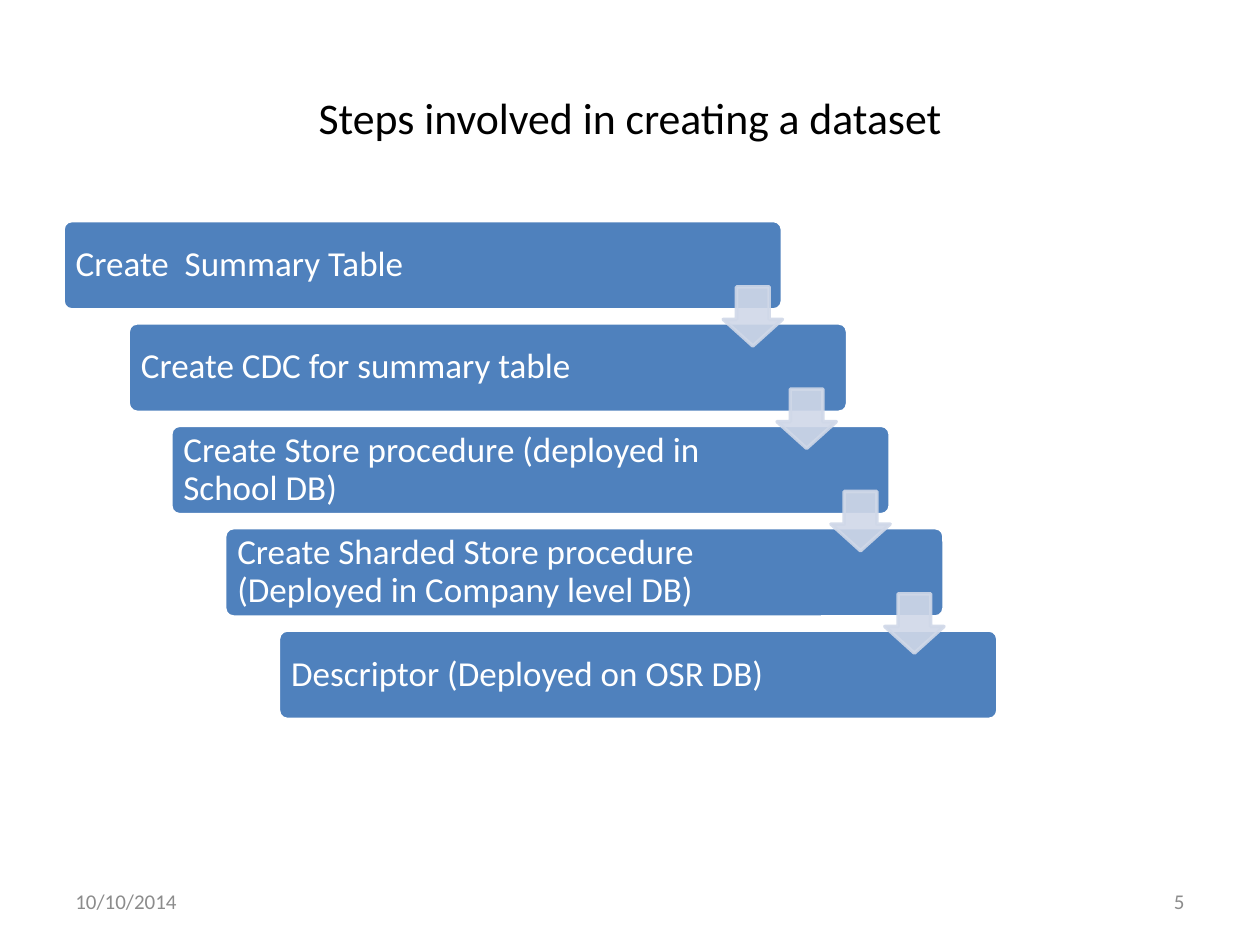
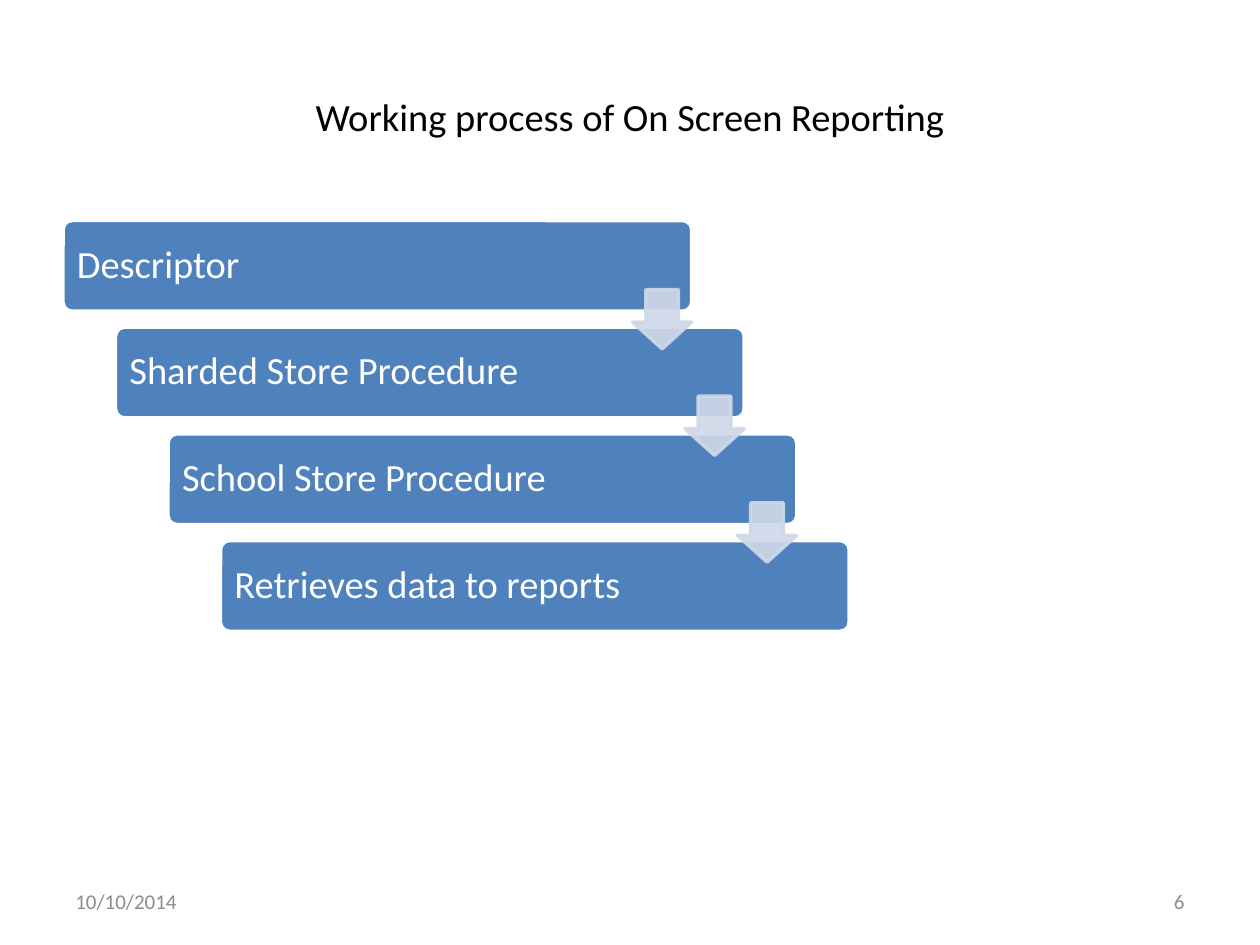
from lxml.etree import SubElement
from pptx import Presentation
from pptx.dml.color import RGBColor
from pptx.enum.shapes import MSO_SHAPE as Shape
from pptx.enum.text import MSO_ANCHOR as Anchor, PP_ALIGN as Align
from pptx.oxml.ns import qn
from pptx.util import Inches, Pt

COLORS = {"black": "000000", "white": "FFFFFF", "blue": "4F81BD",
          "pale": "D0D8E8", "grey": "8C8C8C"}
FONT = "Calibri"
DATE = "10/10/2014"
START = (0.5, 1.75)  # corner of the first step
ARROW = 0.47         # side of an arrow
OPACITY = 90         # percent

# size: width and height of a step; end: corner of the last step;
# room: text width; pad: text inset; nudge: extra shift right by step index
SLIDES = [
    {"title": "Steps involved in creating a dataset", "points": 25, "page": 5,
     "steps": ["Create  Summary Table",
               "Create CDC for summary table",
               "Create Store procedure (deployed in School DB)",
               "Create Sharded Store procedure (Deployed in Company level DB)",
               "Descriptor (Deployed on OSR DB)"],
     "size": (5.71, 0.71), "end": (2.21, 5.0), "room": 4.82,
     "pad": 0.08, "text": 20, "nudge": {1: 0.09}},
    {"title": "Working process of On Screen Reporting", "points": 22, "page": 6,
     "steps": ["Descriptor",
               "Sharded Store Procedure",
               "School Store Procedure",
               "Retrieves data to reports"],
     "size": (4.99, 0.72), "end": (1.75, 4.29), "room": 4.1,
     "pad": 0.09, "text": 22, "nudge": {}},
]


def color(name):
    """Return a palette colour."""
    return RGBColor.from_string(COLORS[name])


def write(frame, text, size, tone, align=Align.LEFT):
    """Put one styled paragraph in a text frame and return it."""
    frame.text = text
    frame.word_wrap = True
    frame.vertical_anchor = Anchor.MIDDLE
    para = frame.paragraphs[0]
    para.alignment = align
    font = para.runs[0].font
    font.name, font.size = FONT, Pt(size)
    font.color.rgb = color(tone)
    return para


def draw(slide, kind, box, adjust, fill, line):
    """Add a flat preset shape with a two-point outline."""
    shape = slide.shapes.add_shape(kind, *map(Inches, box))
    shape.shadow.inherit = False
    for i, value in enumerate(adjust):
        shape.adjustments[i] = value
    shape.fill.solid()
    shape.fill.fore_color.rgb = color(fill)
    shape.line.color.rgb = color(line)
    shape.line.width = Pt(2)
    return shape


def add_step(slide, text, left, top, data):
    """Add a rounded step whose text keeps clear of the arrow."""
    wide, high = data["size"]
    shape = draw(slide, Shape.ROUNDED_RECTANGLE, (left, top, wide, high),
                 [0.1], "blue", "white")
    frame = shape.text_frame
    pad = Inches(data["pad"])
    frame.margin_left = frame.margin_top = frame.margin_bottom = pad
    frame.margin_right = Inches(wide - data["room"] + data["pad"])
    write(frame, text, data["text"], "white").line_spacing = 0.9


def add_arrow(slide, left, top):
    """Add a slightly see-through down arrow."""
    shape = draw(slide, Shape.DOWN_ARROW, (left, top, ARROW, ARROW),
                 [0.55, 0.45], "pale", "pale")
    for tint in shape._element.spPr.iter(qn("a:srgbClr")):
        SubElement(tint, qn("a:alpha"), val=str(OPACITY * 1000))


def add_stairs(slide, data):
    """Lay the steps out evenly, with an arrow centred on each gap."""
    steps, (wide, high) = data["steps"], data["size"]
    dx, dy = [(b - a) / (len(steps) - 1) for a, b in zip(START, data["end"])]
    spots = [(START[0] + i * dx, START[1] + i * dy) for i in range(len(steps))]
    for i, (text, (left, top)) in enumerate(zip(steps, spots)):
        add_step(slide, text, left + data["nudge"].get(i, 0), top, data)
    for left, top in spots[:-1]:
        add_arrow(slide, left + wide - ARROW, top + (high + dy - ARROW) / 2)


def add_footer(slide, page):
    """Add the date on the left and the page number on the right."""
    for left, text, align in [(0.5, DATE, Align.LEFT),
                              (7.17, str(page), Align.RIGHT)]:
        box = slide.shapes.add_textbox(*map(Inches, (left, 6.95, 2.33, 0.4)))
        write(box.text_frame, text, 12, "grey", align)


def add_slide(deck, data):
    """Build one slide: title, stairs and footer."""
    slide = deck.slides.add_slide(deck.slide_layouts[5])
    title = slide.shapes.title
    title.left, title.top, title.width, title.height = map(
        Inches, (0.5, 0.3, 9, 1.25))
    write(title.text_frame, data["title"], data["points"], "black", Align.CENTER)
    add_stairs(slide, data)
    add_footer(slide, data["page"])


deck = Presentation()
deck.slide_width, deck.slide_height = Inches(10), Inches(7.5)
for data in SLIDES:
    add_slide(deck, data)
deck.save("out.pptx")
